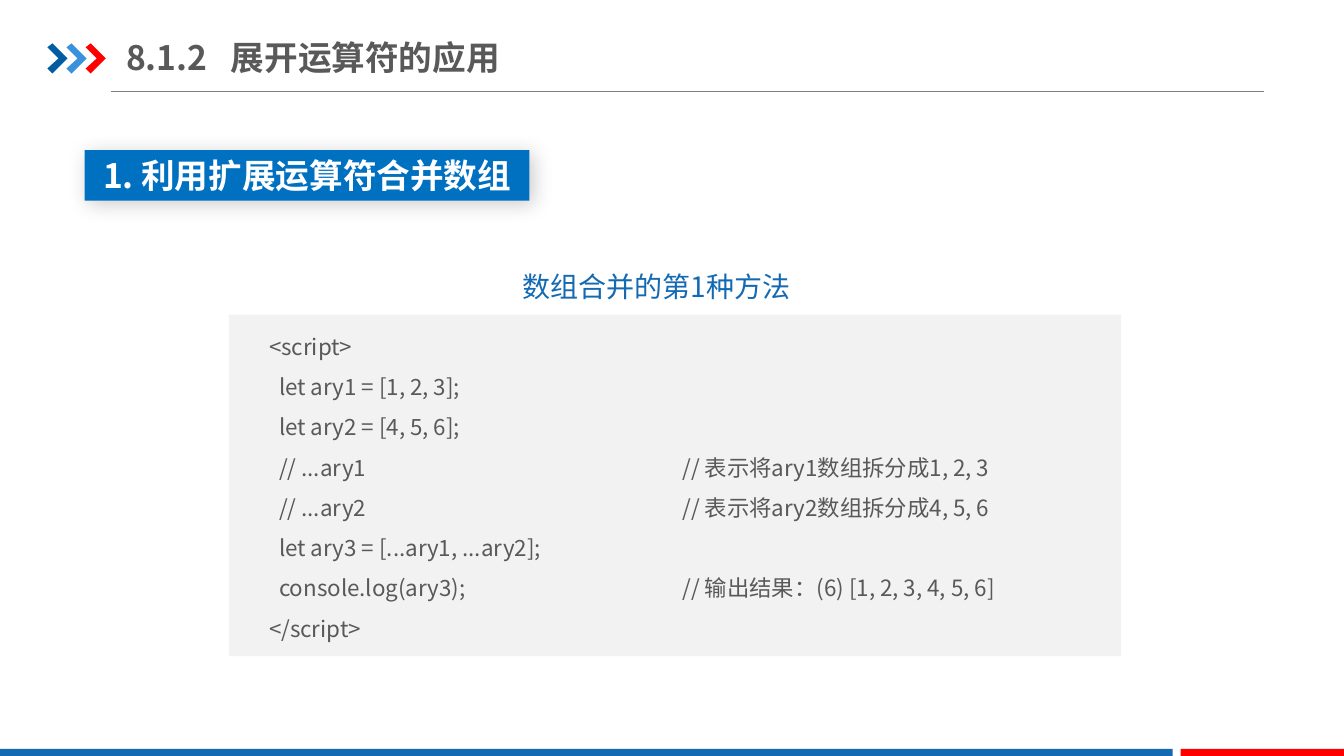
from dataclasses import dataclass

from lxml import etree
from pptx import Presentation
from pptx import util as u
from pptx.dml.color import RGBColor
from pptx.enum import lang, shapes, text
from pptx.oxml.ns import qn

PX = 9144  # 100 px to the inch


@dataclass(frozen=True)
class Theme:
    font: str = "Noto Sans CJK SC"
    ink: str = "595959"
    white: str = "FFFFFF"
    rule: str = "808080"
    panel: str = "F2F2F2"
    blue: str = "1369B2"
    banner: str = "0070C0"
    red: str = "FF0000"
    chevrons: tuple = ("005DA2", "3992DB", "FF0000")
    heading_size: int = 24
    caption_size: int = 20
    code_size: int = 16
    code_spacing: float = 1.5


THEME = Theme()

# Each line: indent in px, code, trailing comment
CODE = [
    (0, "<script>", ""),
    (10, "let ary1 = [1, 2, 3];", ""),
    (10, "let ary2 = [4, 5, 6];", ""),
    (10, "// ...ary1", "// 表示将ary1数组拆分成1, 2, 3"),
    (10, "// ...ary2", "// 表示将ary2数组拆分成4, 5, 6"),
    (10, "let ary3 = [...ary1, ...ary2];", ""),
    (10, "console.log(ary3);", "// 输出结果：(6) [1, 2, 3, 4, 5, 6]"),
    (0, "</script>", ""),
]


def emu(*lengths):
    return [u.Emu(length * PX) for length in lengths]


def paint(shape, color):
    shape.fill.solid()
    shape.fill.fore_color.rgb = RGBColor.from_string(color)
    shape.line.fill.background()
    shape.shadow.inherit = False


def add_rect(page, box, color):
    rect = page.shapes.add_shape(shapes.MSO_SHAPE.RECTANGLE, *emu(*box))
    paint(rect, color)
    return rect


def add_span(para, words, size, color, bold=False):
    span = para.add_run()
    span.text = words
    font = span.font
    font.name, font.size, font.bold = THEME.font, u.Pt(size), bold
    font.color.rgb = RGBColor.from_string(color)
    font.language_id = lang.MSO_LANGUAGE_ID.SIMPLIFIED_CHINESE
    east_asian = etree.Element(qn("a:ea"), typeface=THEME.font)
    font._element.find(qn("a:latin")).addnext(east_asian)


def set_frame(frame, insets, wrap=True, anchor=text.MSO_ANCHOR.TOP):
    frame.auto_size = text.MSO_AUTO_SIZE.NONE
    frame.word_wrap = wrap
    frame.vertical_anchor = anchor
    (frame.margin_left, frame.margin_top,
     frame.margin_right, frame.margin_bottom) = emu(*insets)


def add_tab_stop(para, position):
    stops = etree.SubElement(para._p.get_or_add_pPr(), qn("a:tabLst"))
    etree.SubElement(stops, qn("a:tab"), pos=str(position * PX), algn="l")


def add_chevron(page, left, top, color):
    outline = page.shapes.build_freeform(left, top + 4, scale=PX)
    corners = [(5, 0), (20, 15), (5, 30), (0, 25), (11, 15)]
    outline.add_line_segments([(left + x, top + y) for x, y in corners], close=True)
    paint(outline.convert_to_shape(), color)


def add_header(page, box):
    left, top, width, height = box
    # Three chevrons
    for index, color in enumerate(THEME.chevrons):
        add_chevron(page, left + 19 * index, top + 14, color)
    # Title
    title = page.shapes.title
    title.left, title.top, title.width, title.height = emu(left + 78, top, 426, 55)
    set_frame(title.text_frame, (0, 7, 0, 7), anchor=text.MSO_ANCHOR.MIDDLE)
    para = title.text_frame.paragraphs[0]
    para.alignment = text.PP_ALIGN.LEFT
    add_tab_stop(para, 104)
    add_span(para, "8.1.2\t展开运算符的应用", THEME.heading_size, THEME.ink, bold=True)
    # Rule under the title
    bottom = top + height
    rule = page.shapes.add_connector(
        shapes.MSO_CONNECTOR.STRAIGHT, *emu(left + 63, bottom, left + width, bottom))
    rule.line.color.rgb = RGBColor.from_string(THEME.rule)
    rule.line.width = u.Pt(0.75)
    etree.SubElement(rule._element.spPr, qn("a:effectLst"))


def add_banner(page, box):
    banner = add_rect(page, box, THEME.banner)
    # Soft shadow
    effects = banner._element.spPr.find(qn("a:effectLst"))
    shadow = etree.SubElement(
        effects, qn("a:outerShdw"), blurRad=str(u.Pt(15)), dist=str(u.Pt(3)),
        dir="2700000", algn="tl", rotWithShape="0")
    black = etree.SubElement(shadow, qn("a:srgbClr"), val="000000")
    etree.SubElement(black, qn("a:alpha"), val="20000")
    # Section name
    set_frame(banner.text_frame, (10, 5, 10, 5), wrap=False,
              anchor=text.MSO_ANCHOR.MIDDLE)
    para = banner.text_frame.paragraphs[0]
    para.alignment = text.PP_ALIGN.CENTER
    add_span(para, "1. 利用扩展运算符合并数组", THEME.heading_size, THEME.white, bold=True)


def add_caption(page, box):
    frame = page.shapes.add_textbox(*emu(*box)).text_frame
    set_frame(frame, (13, 7, 13, 7))
    para = frame.paragraphs[0]
    para.alignment = text.PP_ALIGN.CENTER
    para.line_spacing = THEME.code_spacing
    add_span(para, "数组合并的第1种方法", THEME.caption_size, THEME.blue)


def add_code(page, box):
    left, top, width, height = box
    add_rect(page, box, THEME.panel)
    # Code lines, with comments lined up at a tab stop
    frame = page.shapes.add_textbox(*emu(left + 30, top, width - 98, height - 11)).text_frame
    set_frame(frame, (10, 5, 10, 5))
    for index, (indent, code, comment) in enumerate(CODE):
        para = frame.add_paragraph() if index else frame.paragraphs[0]
        para.line_spacing = THEME.code_spacing
        para._p.get_or_add_pPr().set("marL", str(indent * PX))
        if comment:
            add_tab_stop(para, 400)
        words = f"{code}\t{comment}" if comment else code
        add_span(para, words, THEME.code_size, THEME.ink)


def add_footer(page, box):
    left, top, width, height = box
    split, gap = 1163, 8
    add_rect(page, (left, top, split, height), THEME.blue)
    add_rect(page, (left + split + gap, top, width - split - gap, height), THEME.red)


def main():
    deck = Presentation()
    deck.slide_width, deck.slide_height = emu(1333, 750)
    page = deck.slides.add_slide(deck.slide_layouts.get_by_name("Title Only"))
    add_header(page, (47, 29, 1207, 62))
    add_footer(page, (0, 743, 1333, 7))
    add_code(page, (227, 312, 885, 339))
    add_caption(page, (387, 244, 528, 58))
    add_banner(page, (84, 149, 441, 50))
    deck.save("out.pptx")


if __name__ == "__main__":
    main()
